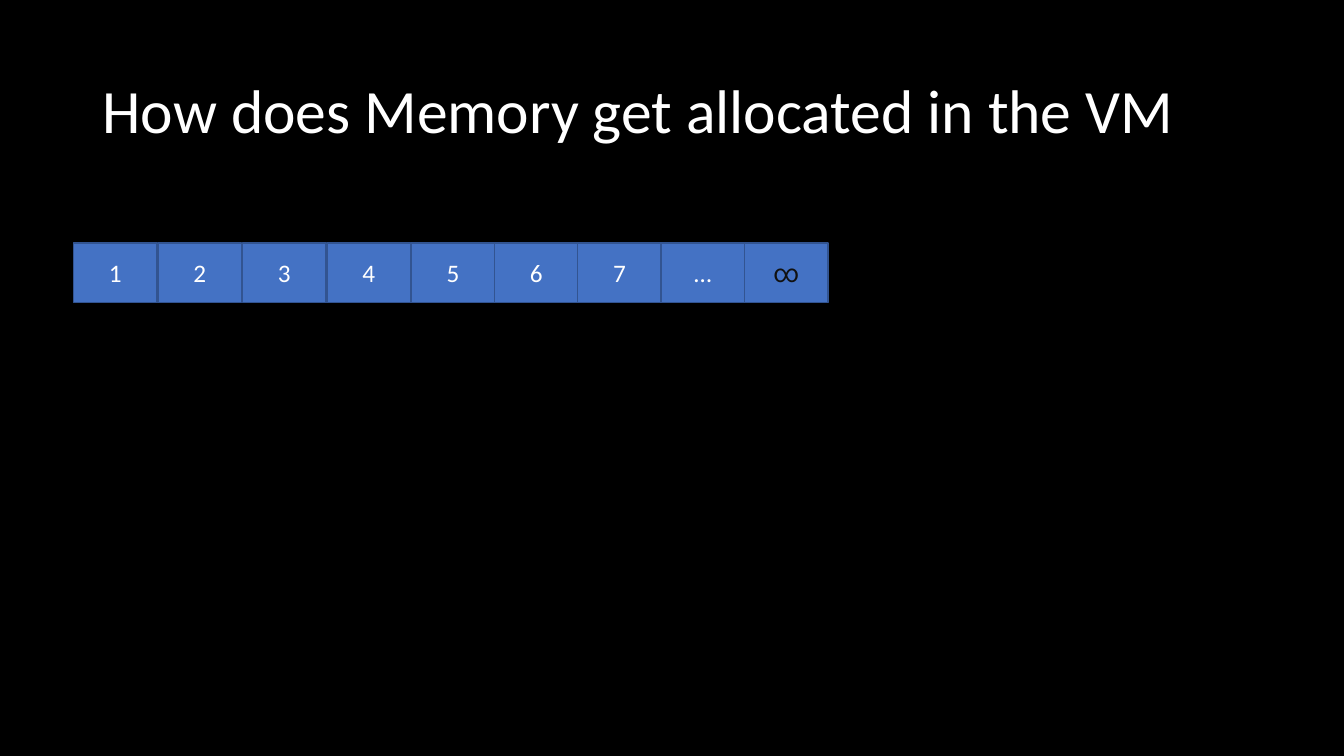
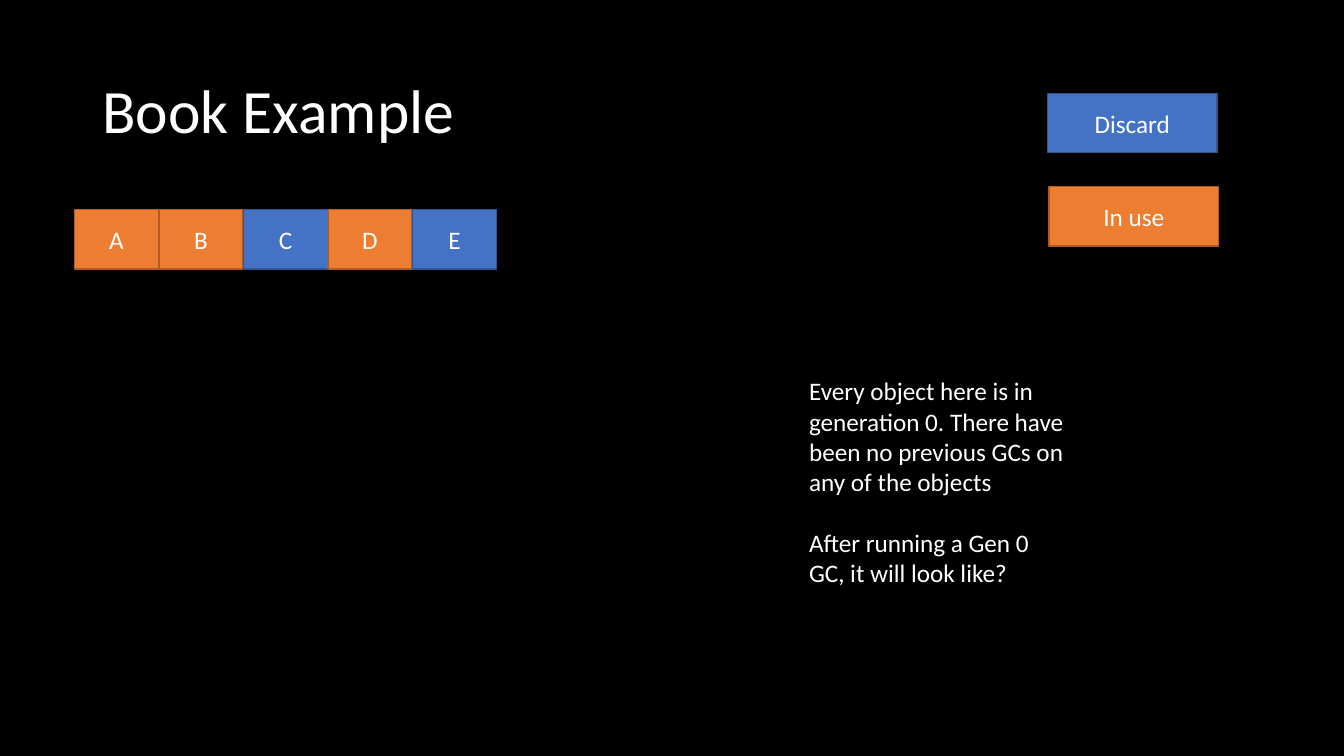
from pptx import Presentation
from pptx.dml.color import RGBColor
from pptx.enum.shapes import MSO_SHAPE
from pptx.enum.text import MSO_ANCHOR, MSO_AUTO_SIZE, PP_ALIGN
from pptx.util import Cm, Pt

RECTANGLE = MSO_SHAPE.RECTANGLE
MIDDLE = MSO_ANCHOR.MIDDLE
NO_FIT = MSO_AUTO_SIZE.NONE
GROW = MSO_AUTO_SIZE.SHAPE_TO_FIT_TEXT
LEFT = PP_ALIGN.LEFT
CENTER = PP_ALIGN.CENTER

BLACK, WHITE, NEAR_BLACK = "000000", "FFFFFF", "111111"
BLUE = ("4472C4", "325491")
ORANGE = ("ED7D31", "AF5C24")
TITLE_FONT = {"name": "Calibri", "size": Pt(44)}
BODY_FONT = {"name": "Calibri", "size": Pt(18)}
SYMBOL_FONT = {"name": "Roboto", "size": Pt(18)}
TITLE_PLACE = {"left": Cm(2.33), "top": Cm(1.01), "width": Cm(29.21), "height": Cm(3.68)}
TITLE_FRAME = {"vertical_anchor": MIDDLE, "word_wrap": True, "auto_size": NO_FIT}
CELL_WIDTH, BOX_WIDTH, BOX_HEIGHT = 2.11, 4.27, 1.5


def paint(color, value):
    color.rgb = RGBColor.from_string(value)


def write(paragraph, text, font_values, color, alignment):
    paragraph.alignment = alignment
    run = paragraph.add_run()
    run.text = text
    for attribute, value in font_values.items():
        setattr(run.font, attribute, value)
    paint(run.font.color, color)


prs = Presentation()
prs.slide_width, prs.slide_height = Cm(33.87), Cm(19.05)
backdrop = prs.slide_master.background.fill
backdrop.solid()
paint(backdrop.fore_color, BLACK)

memory_boxes = []
for labels, start, pitch in (("1234", 1.85, 2.13), ("567…∞", 10.36, 2.1)):
    for index, label in enumerate(labels):
        memory_boxes.append((label, start + index * pitch, 6.12, CELL_WIDTH, BLUE))

book_boxes = []
for index, (label, palette) in enumerate(zip("ABCDE", (ORANGE, ORANGE, BLUE, ORANGE, BLUE))):
    book_boxes.append((label, 1.88 + index * 2.13, 5.28, CELL_WIDTH, palette))
book_boxes += [
    ("Discard", 26.4, 2.35, BOX_WIDTH, BLUE),
    ("In use", 26.44, 4.7, BOX_WIDTH, ORANGE),
]

for heading, boxes in (
    ("How does Memory get allocated in the VM", memory_boxes),
    ("Book Example", book_boxes),
):
    slide = prs.slides.add_slide(prs.slide_layouts[5])
    title = slide.shapes.title
    for target, values in ((title, TITLE_PLACE), (title.text_frame, TITLE_FRAME)):
        for attribute, value in values.items():
            setattr(target, attribute, value)
    heading_line = title.text_frame.paragraphs[0]
    heading_line.line_spacing = 0.9
    write(heading_line, heading, TITLE_FONT, WHITE, LEFT)

    for label, left, top, width, (fill, outline) in boxes:
        box = slide.shapes.add_shape(RECTANGLE, Cm(left), Cm(top), Cm(width), Cm(BOX_HEIGHT))
        box.shadow.inherit = False
        box.fill.solid()
        paint(box.fill.fore_color, fill)
        paint(box.line.color, outline)
        box.line.width = Pt(1)
        box.text_frame.vertical_anchor = MIDDLE
        font, color = (SYMBOL_FONT, NEAR_BLACK) if label == "∞" else (BODY_FONT, WHITE)
        write(box.text_frame.paragraphs[0], label, font, color, CENTER)

explanation = slide.shapes.add_textbox(Cm(20.14), Cm(9.34), Cm(6.99), Cm(5.64)).text_frame
explanation.word_wrap = True
explanation.auto_size = GROW
write(
    explanation.paragraphs[0],
    "Every object here is in generation 0. There have been no previous GCs on any of the objects",
    BODY_FONT, WHITE, LEFT,
)
question = explanation.add_paragraph()
question.space_before = Pt(22)
write(question, "After running a Gen 0 GC, it will look like?", BODY_FONT, WHITE, LEFT)

prs.save("out.pptx")
